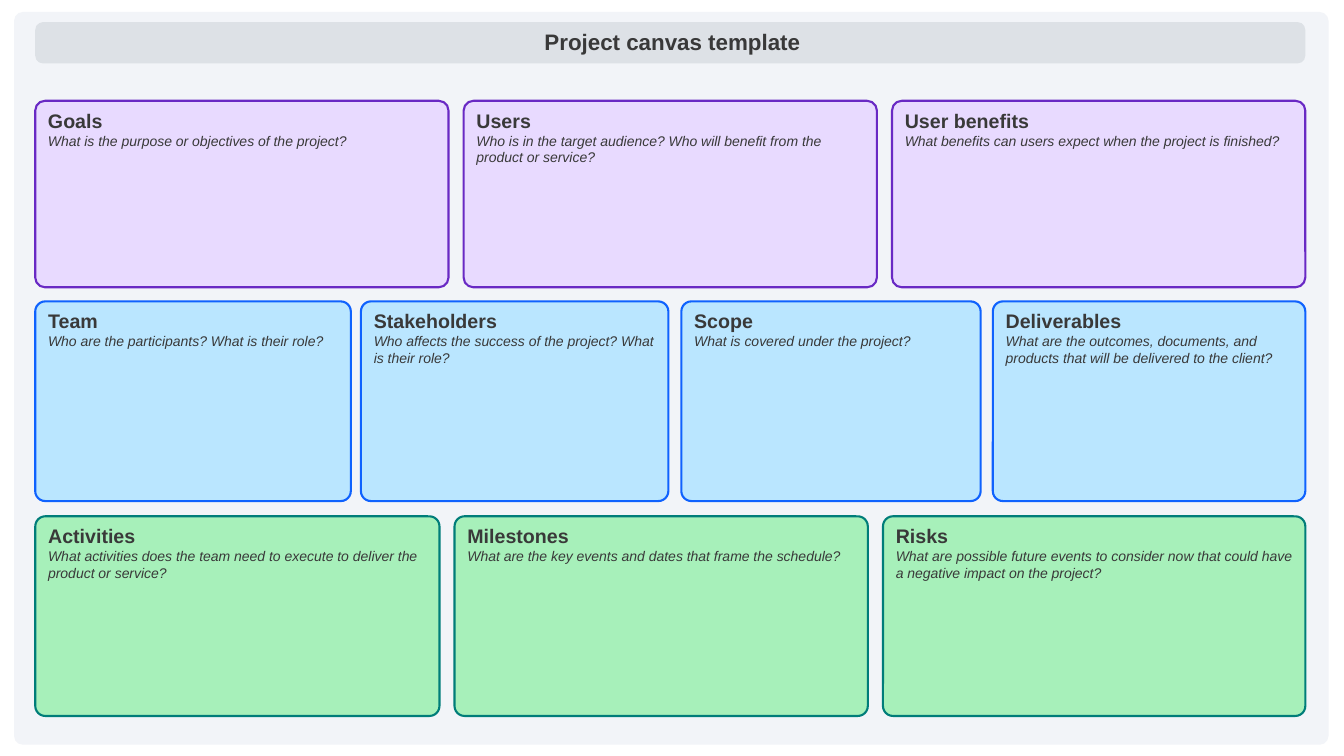
import pptx
import pptx.dml.color
import pptx.enum.shapes
import pptx.enum.text
import pptx.util

Pt = pptx.util.Pt
ALIGN = pptx.enum.text.PP_ALIGN
ANCHOR = pptx.enum.text.MSO_ANCHOR
COLORS = {
    "panel": "F2F4F8", "header": "DDE1E6", "text": "393939",
    "purple": "E8DAFF", "purple edge": "6929C4",
    "blue": "BAE6FF", "blue edge": "0F62FE",
    "green": "A7F0BA", "green edge": "007D79",
}
ROWS = [
    ("purple", 72, 133.2, 0.052, [
        (25.2, 295.2, "Goals", "What is the purpose or objectives of the project?"),
        (331.2, 295.2, "Users", "Who is in the target audience? Who will benefit from the product or service?"),
        (637.2, 295.2, "User benefits", "What benefits can users expect when the project is finished?"),
    ]),
    ("blue", 215.3, 142.6, 0.05, [
        (25.2, 225.4, "Team", "Who are the participants? What is their role?"),
        (257.8, 219.6, "Stakeholders", "Who affects the success of the project? What is their role?"),
        (486.7, 213.8, "Scope", "What is covered under the project?"),
        (709.2, 223.2, "Deliverables", "What are the outcomes, documents, and products that will be delivered to the client?"),
    ]),
    ("green", 368.8, 142.6, 0.05, [
        (25.2, 288.7, "Activities", "What activities does the team need to execute to deliver the product or service?"),
        (324.7, 295.2, "Milestones", "What are the key events and dates that frame the schedule?"),
        (630.7, 301.7, "Risks", "What are possible future events to consider now that could have a negative impact on the project?"),
    ]),
]


def get_color(name):
    return pptx.dml.color.RGBColor.from_string(COLORS[name])


def add_run(para, text, size, bold=False, slant=False):
    run = para.add_run()
    run.text = text
    font = run.font
    font.name, font.size = "Arial", Pt(size)
    font.bold, font.italic = bold, slant
    font.color.rgb = get_color("text")


def add_box(slide, left, top, width, height, curve, fill, edge=None):
    kind = pptx.enum.shapes.MSO_SHAPE.ROUNDED_RECTANGLE
    box = slide.shapes.add_shape(kind, Pt(left), Pt(top), Pt(width), Pt(height))
    box.adjustments[0] = curve
    box.shadow.inherit = False
    box.fill.solid()
    box.fill.fore_color.rgb = get_color(fill)
    if edge:
        box.line.color.rgb = get_color(edge)
        box.line.width = Pt(1.5)
    else:
        box.line.fill.background()
    return box


def add_card(slide, left, top, width, height, curve, tone, head, hint):
    box = add_box(slide, left, top, width, height, curve, tone, tone + " edge")
    frame = box.text_frame
    frame.word_wrap = True
    frame.vertical_anchor = ANCHOR.TOP
    first, second = frame.paragraphs[0], frame.add_paragraph()
    first.alignment = second.alignment = ALIGN.LEFT
    add_run(first, head, 14, bold=True)
    add_run(second, hint, 10, slant=True)


def set_title(slide, text):
    title = slide.shapes.title
    slide.shapes._spTree.append(title._element)
    title.left, title.top = Pt(260), Pt(16.6)
    title.width, title.height = Pt(440.6), Pt(26.6)
    frame = title.text_frame
    frame.word_wrap = True
    frame.auto_size = pptx.enum.text.MSO_AUTO_SIZE.NONE
    frame.vertical_anchor = ANCHOR.MIDDLE
    para = frame.paragraphs[0]
    para.alignment = ALIGN.CENTER
    para.line_spacing = 1.0
    para.space_before = Pt(0)
    add_run(para, text, 16, bold=True)


def main():
    """Build the project canvas slide."""
    deck = pptx.Presentation()
    deck.slide_width, deck.slide_height = Pt(960), Pt(540)
    slide = deck.slides.add_slide(deck.slide_layouts[5])
    add_box(slide, 10.1, 8.6, 938.9, 523.4, 0.012, "panel")
    add_box(slide, 25.2, 15.8, 907.2, 29.5, 0.188, "header")
    set_title(slide, "Project canvas template")
    for tone, top, height, curve, cards in ROWS:
        for left, width, head, hint in cards:
            add_card(slide, left, top, width, height, curve, tone, head, hint)
    deck.save("out.pptx")


if __name__ == "__main__":
    main()
